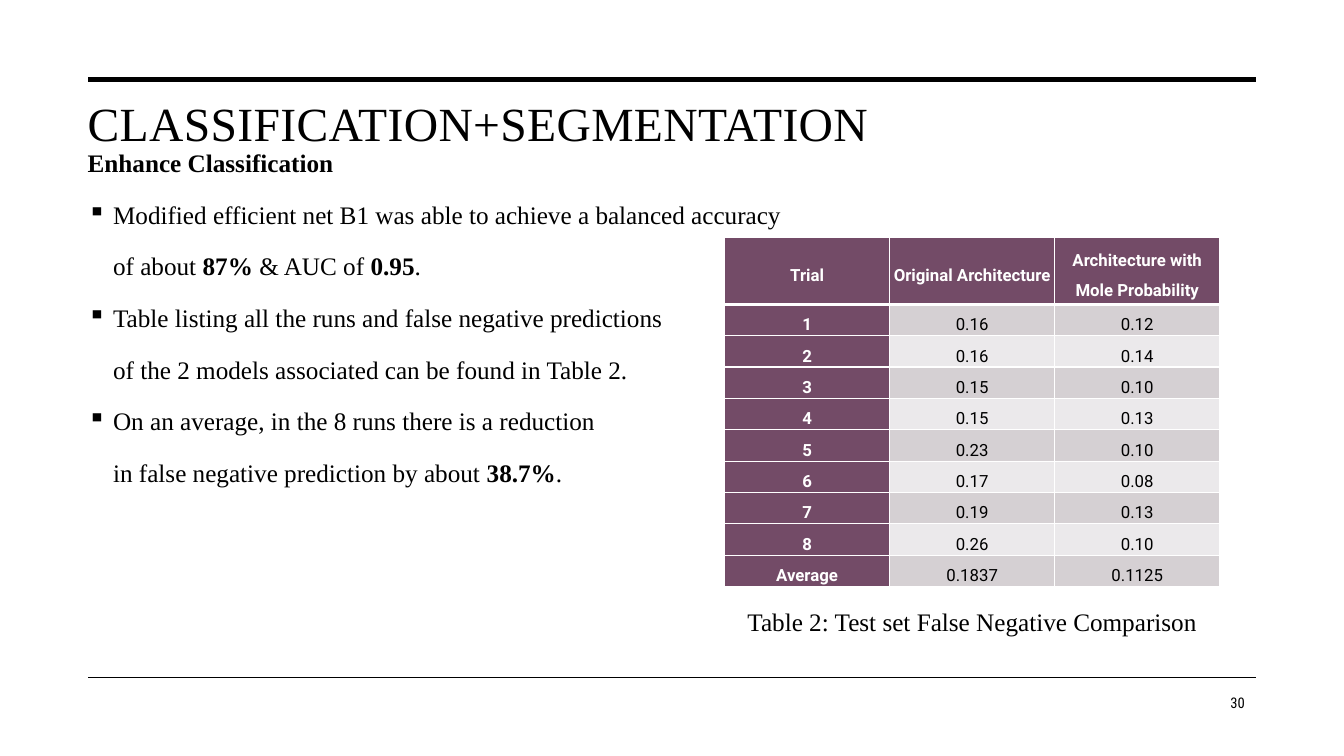
from lxml import etree
from pptx import Presentation
from pptx.dml.color import RGBColor
from pptx.enum.shapes import MSO_CONNECTOR
from pptx.enum.text import MSO_ANCHOR, PP_ALIGN
from pptx.oxml.ns import qn
from pptx.util import Cm, Pt

BLACK = RGBColor(0x00, 0x00, 0x00)
WHITE = RGBColor(0xFF, 0xFF, 0xFF)
PLUM = RGBColor(0x73, 0x4B, 0x67)
BAND_DARK = RGBColor(0xD5, 0xD0, 0xD3)
BAND_LIGHT = RGBColor(0xEB, 0xE9, 0xEB)

STRAIGHT = MSO_CONNECTOR.STRAIGHT
LEFT, CENTER, RIGHT, JUSTIFY = PP_ALIGN.LEFT, PP_ALIGN.CENTER, PP_ALIGN.RIGHT, PP_ALIGN.JUSTIFY
TOP, MIDDLE = MSO_ANCHOR.TOP, MSO_ANCHOR.MIDDLE

SERIF = "Times New Roman"
TABLE_FONT = "Roboto"
NUMBER_FONT = "Roboto Condensed"

INDENT = Cm(0.64)
HEADER_HEIGHT = 1.7
TRIAL_HEIGHT = 0.79

BODY_LINES = [
    (None, [("Enhance Classification", True)]),
    ("▪", [("Modified efficient net B1 was able to achieve a balanced accuracy", False)]),
    ("", [("of about ", False), ("87% ", True), ("& AUC of ", False), ("0.95", True), (".", False)]),
    ("▪", [("Table listing all the runs and false negative predictions", False)]),
    ("", [("of the 2 models associated can be found in Table 2.", False)]),
    ("▪", [("On an average, in the 8 runs there is a reduction", False)]),
    ("", [("in false negative prediction by about ", False), ("38.7%", True), (".", False)]),
]

TABLE_ROWS = [
    ("Trial", "Original Architecture", "Architecture with Mole Probability"),
    ("1", "0.16", "0.12"),
    ("2", "0.16", "0.14"),
    ("3", "0.15", "0.10"),
    ("4", "0.15", "0.13"),
    ("5", "0.23", "0.10"),
    ("6", "0.17", "0.08"),
    ("7", "0.19", "0.13"),
    ("8", "0.26", "0.10"),
    ("Average", "0.1837", "0.1125"),
]


def format_run(run, font_name, size, color=BLACK, bold=False):
    run.font.name = font_name
    run.font.size = Pt(size)
    run.font.color.rgb = color
    run.font.bold = bold


def add_text_frame(slide, box, anchor=TOP, top_inset=0.13):
    text_frame = slide.shapes.add_textbox(*(Cm(length) for length in box)).text_frame
    text_frame.word_wrap = True
    text_frame.vertical_anchor = anchor
    text_frame.margin_top = Cm(top_inset)
    return text_frame


def add_single_line(slide, box, text, font_name, size, alignment, **frame_options):
    text_frame = add_text_frame(slide, box, **frame_options)
    text_frame.text = text
    paragraph = text_frame.paragraphs[0]
    paragraph.alignment = alignment
    format_run(paragraph.runs[0], font_name, size)
    return paragraph


def add_rules(slide, box):
    left, top, width, height = box
    for y, weight in ((top, 3.5), (top + height, 1)):
        rule = slide.shapes.add_connector(STRAIGHT, Cm(left), Cm(y), Cm(left + width), Cm(y))
        rule.line.color.rgb = BLACK
        rule.line.width = Pt(weight)
        etree.SubElement(rule._element.spPr, qn("a:effectLst"))


def add_title(slide, box):
    paragraph = add_single_line(slide, box, "CLASSIFICATION+SEGMENTATION", SERIF, 34, LEFT, top_inset=0.28)
    paragraph.runs[0].font._element.set("spc", "30")


def set_bullet(paragraph, bullet):
    properties = paragraph._p.get_or_add_pPr()
    properties.set("marL", str(INDENT))
    properties.set("indent", str(-INDENT if bullet else 0))
    if bullet:
        etree.SubElement(properties, qn("a:buChar")).set("char", bullet)


def add_body(slide, box):
    text_frame = add_text_frame(slide, box, top_inset=0)
    for index, (bullet, pieces) in enumerate(BODY_LINES):
        paragraph = text_frame.add_paragraph() if index else text_frame.paragraphs[0]
        paragraph.alignment = JUSTIFY
        paragraph.line_spacing = 1.2
        paragraph.space_before = Pt(11)
        if bullet is not None:
            set_bullet(paragraph, bullet)
        for text, bold in pieces:
            run = paragraph.add_run()
            run.text = text
            format_run(run, SERIF, 18, bold=bold)


def set_borders(cell, bottom_weight):
    properties = cell._tc.get_or_add_tcPr()
    weights = (("a:lnL", 1), ("a:lnR", 1), ("a:lnT", 1), ("a:lnB", bottom_weight))
    for position, (tag, weight) in enumerate(weights):
        border = etree.Element(qn(tag), w=str(Pt(weight)))
        fill = etree.SubElement(border, qn("a:solidFill"))
        etree.SubElement(fill, qn("a:srgbClr")).set("val", str(WHITE))
        properties.insert(position, border)


def fill_cell(cell, text, row, column):
    heading = row == 0 or column == 0
    cell.text = text
    cell.vertical_anchor = MIDDLE
    cell.margin_left = cell.margin_right = cell.margin_top = cell.margin_bottom = 0
    cell.fill.solid()
    cell.fill.fore_color.rgb = PLUM if heading else BAND_DARK if row % 2 else BAND_LIGHT
    paragraph = cell.text_frame.paragraphs[0]
    paragraph.alignment = CENTER
    paragraph.line_spacing = 1.5
    format_run(paragraph.runs[0], TABLE_FONT, 12, WHITE if heading else BLACK, heading)
    set_borders(cell, 1 if row else 3)


def add_comparison_table(slide, box):
    left, top, width, height = box
    table_height = HEADER_HEIGHT + TRIAL_HEIGHT * (len(TABLE_ROWS) - 1)
    column_count = len(TABLE_ROWS[0])
    table = slide.shapes.add_table(
        len(TABLE_ROWS), column_count, Cm(left), Cm(top), Cm(width), Cm(table_height)
    ).table
    for column in table.columns:
        column.width = Cm(width / column_count)
    for row, values in enumerate(TABLE_ROWS):
        table.rows[row].height = Cm(TRIAL_HEIGHT if row else HEADER_HEIGHT)
        for column, text in enumerate(values):
            fill_cell(table.cell(row, column), text, row, column)
    caption_height = 1.1
    caption_box = (left, top + height - caption_height, width, caption_height)
    add_single_line(
        slide, caption_box, "Table 2: Test set False Negative Comparison", SERIF, 18, CENTER
    )


def add_slide_number(slide, box):
    add_single_line(slide, box, "30", NUMBER_FONT, 10.5, RIGHT, anchor=MIDDLE)


def main():
    presentation = Presentation()
    presentation.slide_width = Cm(33.87)
    presentation.slide_height = Cm(19.05)
    slide = presentation.slides.add_slide(presentation.slide_layouts[6])
    add_rules(slide, (2.23, 2, 29.42, 15.07))
    add_title(slide, (1.96, 2.08, 29.69, 1.47))
    add_body(slide, (1.96, 3.56, 29.69, 13.64))
    add_comparison_table(slide, (18.26, 5.97, 12.48, 10.28))
    add_slide_number(slide, (19.02, 17.2, 12.6, 1.02))
    presentation.save("out.pptx")


if __name__ == "__main__":
    main()
